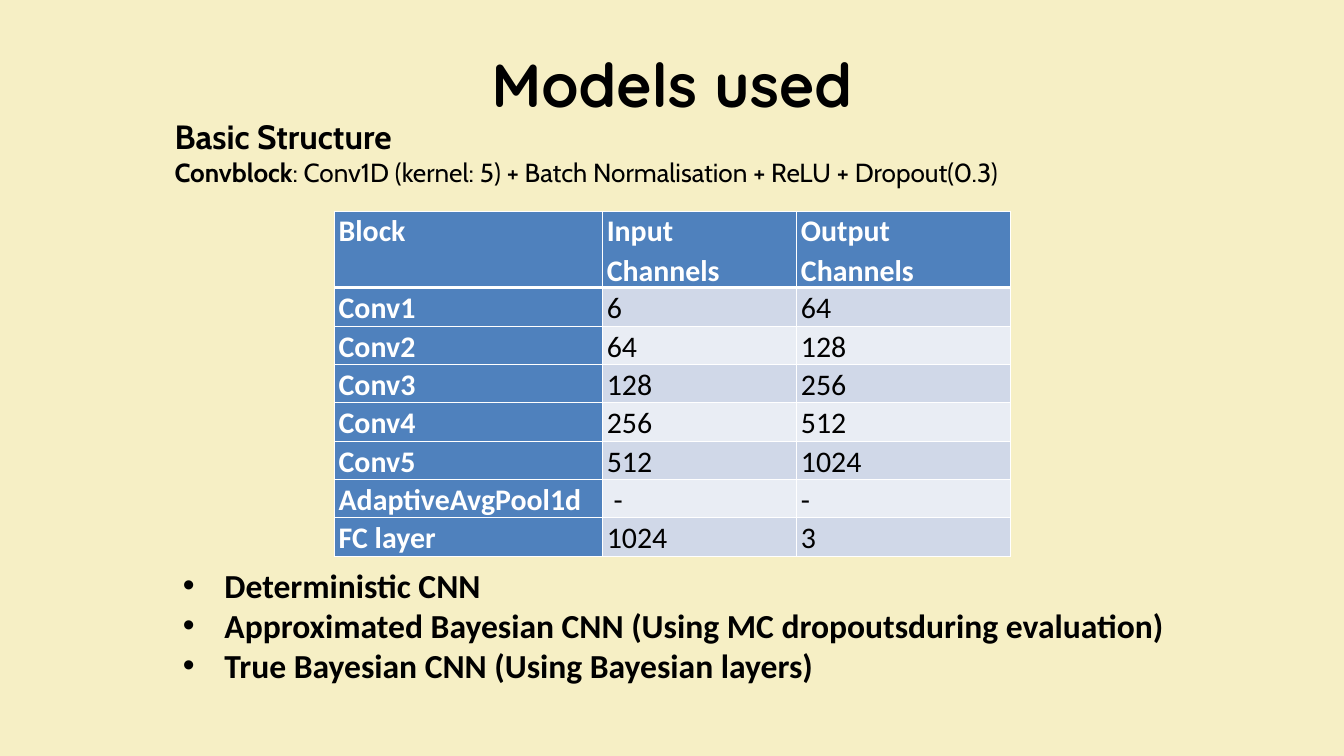
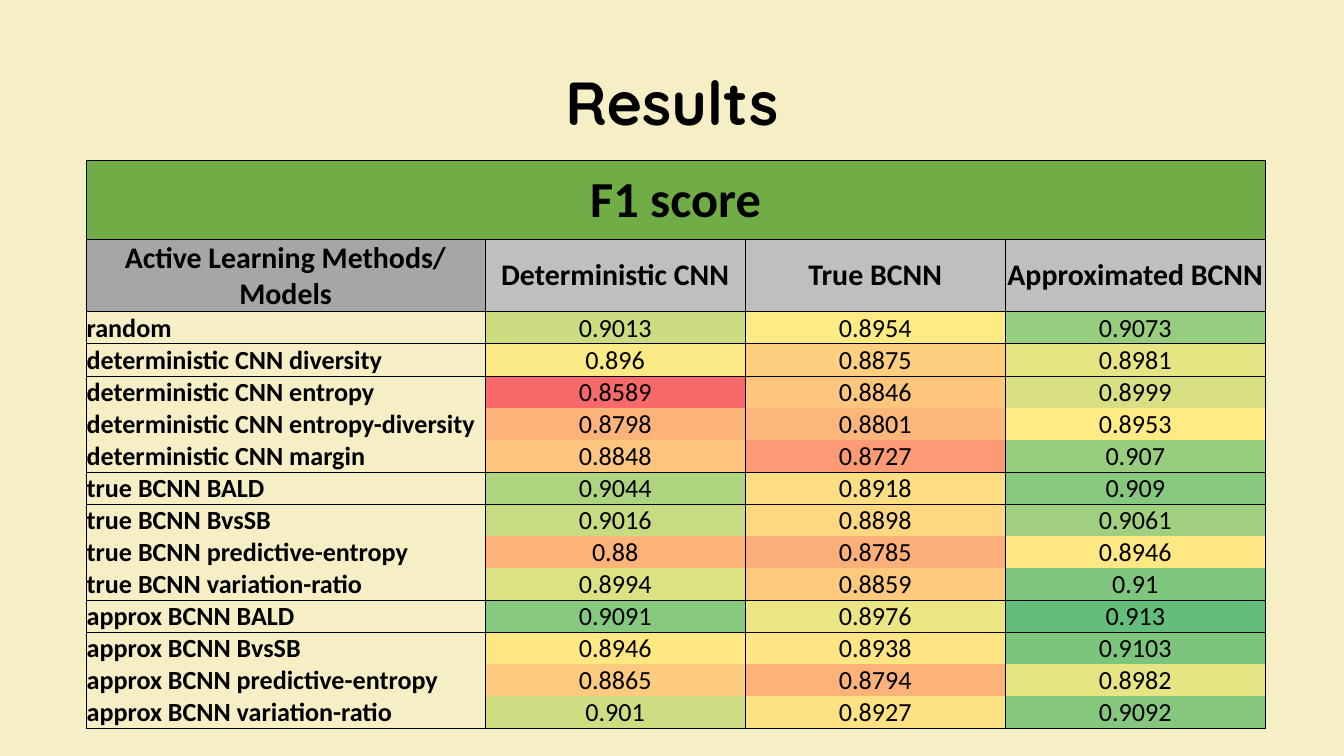
from lxml import etree
from pptx import Presentation
from pptx import util as u
from pptx.dml.color import RGBColor
from pptx.enum import text
from pptx.oxml import ns

CREAM = RGBColor(0xF6, 0xEF, 0xC5)
BLACK = RGBColor(0x00, 0x00, 0x00)
WHITE = RGBColor(0xFF, 0xFF, 0xFF)
BLUE = RGBColor(0x4F, 0x81, 0xBD)
BAND_DARK = RGBColor(0xD0, 0xD8, 0xE8)
BAND_LIGHT = RGBColor(0xE9, 0xED, 0xF4)
GREEN = RGBColor(0x70, 0xAD, 0x47)
GREY = RGBColor(0xA6, 0xA6, 0xA6)
GREY_LIGHT = RGBColor(0xBF, 0xBF, 0xBF)
HEAT_LOW = RGBColor(0xF8, 0x69, 0x6B)
HEAT_MIDDLE = RGBColor(0xFF, 0xEB, 0x84)
HEAT_HIGH = RGBColor(0x63, 0xBE, 0x7B)

GRID_COLUMNS, GRID_ROWS = 200, 112.5
PLAIN_TABLE = "{2D5ABB26-0587-4C30-8999-92F81FD0307C}"
CENTER = text.PP_ALIGN.CENTER
MIDDLE, BOTTOM = text.MSO_ANCHOR.MIDDLE, text.MSO_ANCHOR.BOTTOM

LAYERS = [
    ("Block", "Input Channels", "Output Channels"),
    ("Conv1", "6", "64"),
    ("Conv2", "64", "128"),
    ("Conv3", "128", "256"),
    ("Conv4", "256", "512"),
    ("Conv5", "512", "1024"),
    ("AdaptiveAvgPool1d", " -", "-"),
    ("FC layer", "1024", "3"),
]
MODELS = [
    "Deterministic CNN",
    "Approximated Bayesian CNN (Using MC dropoutsduring evaluation)",
    "True Bayesian CNN (Using Bayesian layers)",
]
SCORE_HEADERS = ["Active Learning Methods/ Models", "Deterministic CNN", "True BCNN", "Approximated BCNN"]
SCORE_GROUPS = [
    [("random", 0.9013, 0.8954, 0.9073)],
    [
        ("deterministic CNN diversity", 0.896, 0.8875, 0.8981),
        ("deterministic CNN entropy", 0.8589, 0.8846, 0.8999),
        ("deterministic CNN entropy-diversity", 0.8798, 0.8801, 0.8953),
        ("deterministic CNN margin", 0.8848, 0.8727, 0.907),
    ],
    [
        ("true BCNN BALD", 0.9044, 0.8918, 0.909),
        ("true BCNN BvsSB", 0.9016, 0.8898, 0.9061),
        ("true BCNN predictive-entropy", 0.88, 0.8785, 0.8946),
        ("true BCNN variation-ratio", 0.8994, 0.8859, 0.91),
    ],
    [
        ("approx BCNN BALD", 0.9091, 0.8976, 0.913),
        ("approx BCNN BvsSB", 0.8946, 0.8938, 0.9103),
        ("approx BCNN predictive-entropy", 0.8865, 0.8794, 0.8982),
        ("approx BCNN variation-ratio", 0.901, 0.8927, 0.9092),
    ],
]


def blend(start, end, share):
    return RGBColor(*(round(a + (b - a) * share) for a, b in zip(start, end)))


def heat_colour(score, scores):
    low, middle, high = scores[0], scores[len(scores) // 2], scores[-1]
    if score < middle:
        return blend(HEAT_LOW, HEAT_MIDDLE, (score - low) / (middle - low))
    return blend(HEAT_MIDDLE, HEAT_HIGH, (score - middle) / (high - middle))


class Deck:
    def __init__(self):
        self.presentation = Presentation()
        self.presentation.slide_width = u.Inches(20)
        self.presentation.slide_height = u.Inches(11.25)
        self.slide = None

    def column(self, count):
        return u.Emu(round(self.presentation.slide_width * count / GRID_COLUMNS))

    def row(self, count):
        return u.Emu(round(self.presentation.slide_height * count / GRID_ROWS))

    def place(self, left, top, width, height):
        return self.column(left), self.row(top), self.column(width), self.row(height)

    def format(self, run, size, font="Calibri", colour=BLACK, bold=True):
        run.font.size, run.font.name, run.font.bold = u.Pt(size), font, bold
        run.font.color.rgb = colour

    def add_slide(self, title, *box):
        self.slide = self.presentation.slides.add_slide(self.presentation.slide_layouts[6])
        self.slide.background.fill.solid()
        self.slide.background.fill.fore_color.rgb = CREAM
        paragraph = self.text_box([title], *box).paragraphs[0]
        paragraph.alignment, paragraph.line_spacing = CENTER, u.Pt(91)
        self.format(paragraph.runs[0], 65, "Quicksand")

    def text_box(self, lines, *box, margins=(0, 0)):
        text_frame = self.slide.shapes.add_textbox(*self.place(*box)).text_frame
        text_frame.word_wrap = True
        text_frame.margin_left = text_frame.margin_right = self.column(margins[0])
        text_frame.margin_top = text_frame.margin_bottom = self.row(margins[1])
        text_frame.text = "\n".join(lines)
        return text_frame

    def structure(self, heading, term, definition, *box):
        text_frame = self.text_box([heading, term], *box, margins=(1, 0.5))
        first, second = text_frame.paragraphs
        second.add_run().text = definition
        self.format(first.runs[0], 36, "Cabin")
        for run, bold in zip(second.runs, (True, False)):
            self.format(run, 28, "Cabin", bold=bold)

    def bullets(self, lines, *box):
        indent = self.column(6.2)
        for paragraph in self.text_box(lines, *box).paragraphs:
            self.format(paragraph.runs[0], 36)
            properties = paragraph._p.get_or_add_pPr()
            properties.set("marL", str(indent))
            properties.set("indent", str(-indent))
            etree.SubElement(properties, ns.qn("a:buFont"), typeface="Arial")
            etree.SubElement(properties, ns.qn("a:buChar"), char="•")

    def table(self, left, top, widths, heights):
        box = self.place(left, top, sum(widths), sum(heights))
        table = self.slide.shapes.add_table(len(heights), len(widths), *box).table
        table.first_row = table.horz_banding = False
        table._tbl.tblPr.find(ns.qn("a:tableStyleId")).text = PLAIN_TABLE
        for column, width in zip(table.columns, widths):
            column.width = self.column(width)
        for row, height in zip(table.rows, heights):
            row.height = self.row(height)
        return table

    def cell(self, cell, content, size, fill, borders, border_colour=BLACK, margins=(0.1, 0.1),
             anchor=MIDDLE, alignment=CENTER, colour=BLACK, bold=True):
        cell.text_frame.text = content
        cell.margin_left = cell.margin_right = self.column(margins[0])
        cell.margin_top, cell.margin_bottom = self.row(margins[1]), 0
        cell.vertical_anchor = anchor
        paragraph = cell.text_frame.paragraphs[0]
        paragraph.alignment = alignment
        self.format(paragraph.runs[0], size, colour=colour, bold=bold)
        properties = cell._tc.get_or_add_tcPr()
        for side in "LRTB":
            if side in borders:
                line = etree.SubElement(properties, ns.qn(f"a:ln{side}"), w=str(u.Pt(borders[side])))
                solid = etree.SubElement(line, ns.qn("a:solidFill"))
                etree.SubElement(solid, ns.qn("a:srgbClr"), val=str(border_colour))
        if fill is None:
            cell.fill.background()
        else:
            cell.fill.solid()
            cell.fill.fore_color.rgb = fill
        return paragraph

    def layer_table(self, layers, left, top, widths, heights):
        table = self.table(left, top, widths, heights)
        for i, layer in enumerate(layers):
            borders = {"L": 1, "R": 1, "B": 1} if i else {"L": 1, "R": 1, "T": 1, "B": 3}
            for j, content in enumerate(layer):
                heading = i == 0 or j == 0
                band = BAND_DARK if i % 2 else BAND_LIGHT
                paragraph = self.cell(
                    table.cell(i, j), content, 32, BLUE if heading else band, borders, WHITE,
                    (0.7, 0), text.MSO_ANCHOR.TOP, text.PP_ALIGN.LEFT,
                    WHITE if heading else BLACK, heading)
                paragraph.line_spacing, paragraph.space_after = 1.07, u.Pt(8)

    def score_table(self, heading, headers, groups, left, top, widths, heights):
        table = self.table(left, top, widths, heights)
        sides = {"L": 0.5, "R": 0.5}
        frame = {**sides, "T": 0.5, "B": 0.5}
        table.cell(0, 0).merge(table.cell(0, len(headers) - 1))
        self.cell(table.cell(0, 0), heading, 54, GREEN, frame)
        for j, header in enumerate(headers):
            self.cell(table.cell(1, j), header, 32, GREY_LIGHT if j else GREY, frame)
        scores = sorted(score for group in groups for entry in group for score in entry[1:])
        i = 2
        for group in groups:
            for entry in group:
                borders = dict(sides)
                if entry is group[0]:
                    borders["T"] = 0.5
                if entry is group[-1]:
                    borders["B"] = 0.5
                self.cell(table.cell(i, 0), entry[0], 28, None, borders,
                          anchor=BOTTOM, alignment=text.PP_ALIGN.LEFT)
                for j, score in enumerate(entry[1:], 1):
                    self.cell(table.cell(i, j), str(score), 28, heat_colour(score, scores),
                              borders, bold=False)
                i += 1


def main():
    deck = Deck()
    deck.add_slide("Models used", 27.5, 5.2, 145, 11.9)
    deck.bullets(MODELS, 27.2, 84, 169.5, 26)
    deck.layer_table(LAYERS, 49.7, 31.4, [39.9, 28.9, 31.9], [9.5] + [5] * 5 + [5.5, 5])
    deck.structure("Basic Structure", "Convblock",
                   ": Conv1D (kernel: 5) + Batch Normalisation + ReLU + Dropout(0.3)",
                   25, 16.8, 167.4, 17.8)

    deck.add_slide("Results", 35.2, 7.9, 129.6, 12.2)
    deck.score_table("F1 score", SCORE_HEADERS, SCORE_GROUPS, 12.8, 23.9,
                     [59.4] + [38.7] * 3, [11.7, 9.6] + [4.6] * 13)
    deck.presentation.save("out.pptx")


if __name__ == "__main__":
    main()
